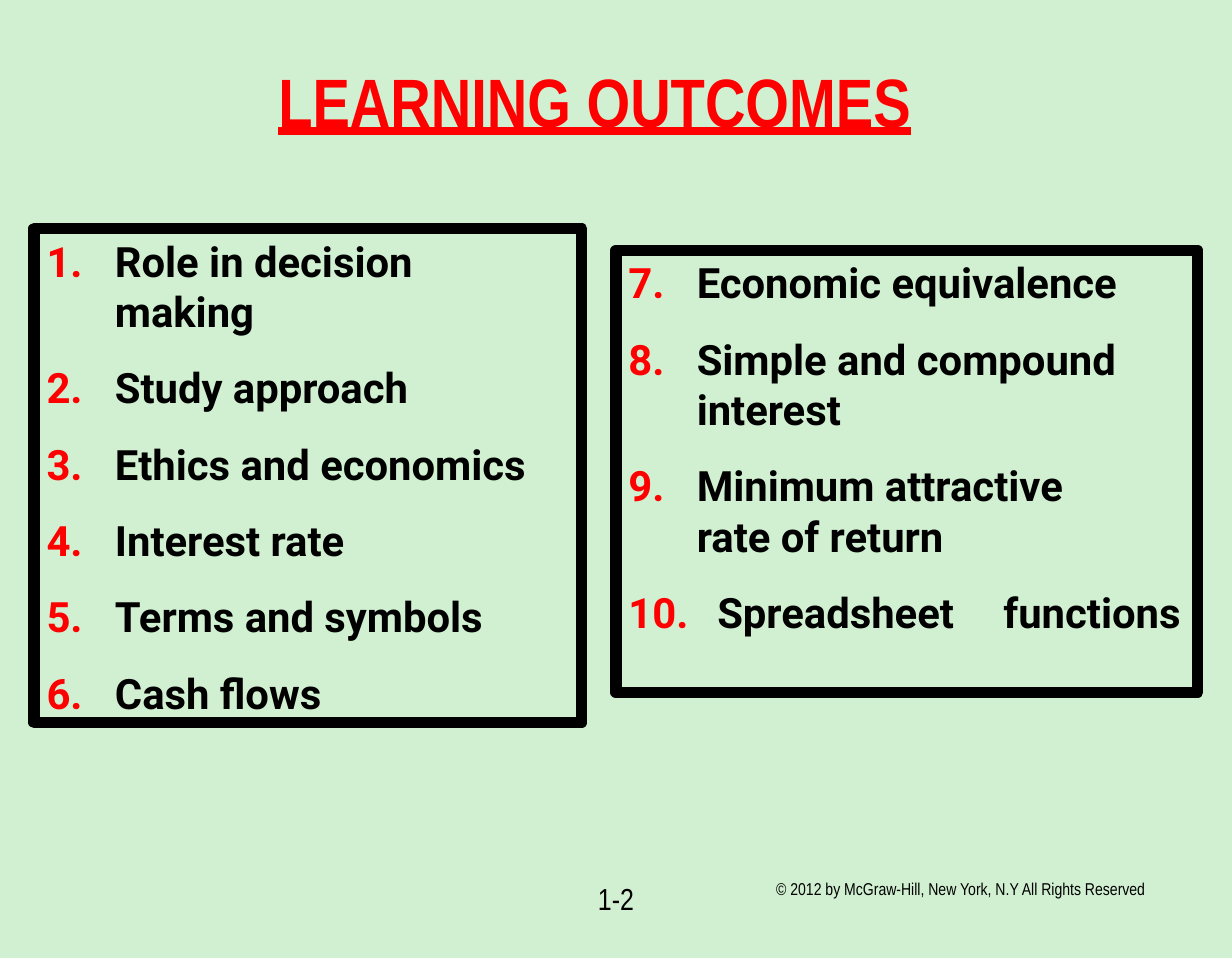
import pptx
import pptx.util
import pptx.dml.color
import pptx.enum.shapes
import pptx.enum.text
import pptx.oxml.ns
from lxml import etree

Inches = pptx.util.Inches
Pt = pptx.util.Pt
RGBColor = pptx.dml.color.RGBColor
Align = pptx.enum.text.PP_ALIGN
Anchor = pptx.enum.text.MSO_ANCHOR

MINT = RGBColor(0xD1, 0xF0, 0xD1)
RED = RGBColor(0xFF, 0x00, 0x00)
BLACK = RGBColor(0x00, 0x00, 0x00)

LEFT = [
    "Role in decision\vmaking",
    "Study approach",
    "Ethics and economics",
    "Interest rate",
    "Terms and symbols",
    "Cash flows",
]
RIGHT = [
    "Economic equivalence",
    "Simple and compound\vinterest",
    "Minimum attractive\vrate of return",
    "Spreadsheet\tfunctions",
]


class Deck:
    label = "Arial Narrow"
    body = "Roboto"

    def __init__(self):
        self.file = pptx.Presentation()
        self.file.slide_width = Inches(9)
        self.file.slide_height = Inches(7)
        self.slide = self.file.slides.add_slide(self.file.slide_layouts[6])
        fill = self.slide.background.fill
        fill.solid()
        fill.fore_color.rgb = MINT

    def frame(self, shape, anchor):
        frame = shape.text_frame
        frame.word_wrap = True
        frame.vertical_anchor = anchor
        frame.margin_left = frame.margin_right = Inches(0.09)
        frame.margin_top = frame.margin_bottom = Inches(0.05)
        return frame

    def style(self, para, name, size, color, bold=False, under=False):
        font = para.font
        font.name = name
        font.size = Pt(size)
        font.color.rgb = color
        font.bold = bold
        font.underline = under

    def text(self, words, box, size, color=BLACK, align=Align.LEFT,
             anchor=Anchor.TOP, bold=False, under=False):
        shape = self.slide.shapes.add_textbox(*map(Inches, box))
        para = self.frame(shape, anchor).paragraphs[0]
        para.text = words
        para.alignment = align
        self.style(para, self.label, size, color, bold, under)

    def number(self, para, start, indent):
        props = para._p.get_or_add_pPr()
        props.set("marL", str(Inches(indent)))
        props.set("indent", str(-Inches(indent)))

        def add(parent, tag, **attrs):
            return etree.SubElement(parent, pptx.oxml.ns.qn(tag), attrs)

        add(add(props, "a:buClr"), "a:srgbClr", val=str(RED))
        add(props, "a:buAutoNum", type="arabicPeriod", startAt=str(start))
        add(add(props, "a:tabLst"), "a:tab", pos=str(Inches(2.74)), algn="l")

    def panel(self, items, box, start):
        kind = pptx.enum.shapes.MSO_SHAPE.RECTANGLE
        shape = self.slide.shapes.add_shape(kind, *map(Inches, box))
        shape.shadow.inherit = False
        shape.fill.background()
        shape.line.color.rgb = BLACK
        shape.line.width = Pt(6)
        frame = self.frame(shape, Anchor.TOP)
        for index, item in enumerate(items):
            para = frame.add_paragraph() if index else frame.paragraphs[0]
            para.text = item
            para.alignment = Align.LEFT
            self.number(para, start, 0.65 if start + index > 9 else 0.5)
            if index:
                para.space_before = Pt(13.8)
            self.style(para, self.body, 22, BLACK, bold=True)


def main():
    deck = Deck()
    deck.text("© 2012 by McGraw-Hill, New York, N.Y All Rights Reserved",
              (5.58, 6.37, 3.17, 0.46), 9)
    deck.text("1-2", (3.9, 6.38, 1.2, 0.47), 16, align=Align.CENTER)
    deck.text("LEARNING OUTCOMES", (0.52, 0.23, 7.65, 1), 36, RED,
              Align.CENTER, Anchor.MIDDLE, bold=True, under=True)
    deck.panel(LEFT, (0.25, 1.67, 4, 3.61), 1)
    deck.panel(RIGHT, (4.5, 1.83, 4.25, 3.23), len(LEFT) + 1)
    deck.file.save("out.pptx")


if __name__ == "__main__":
    main()
